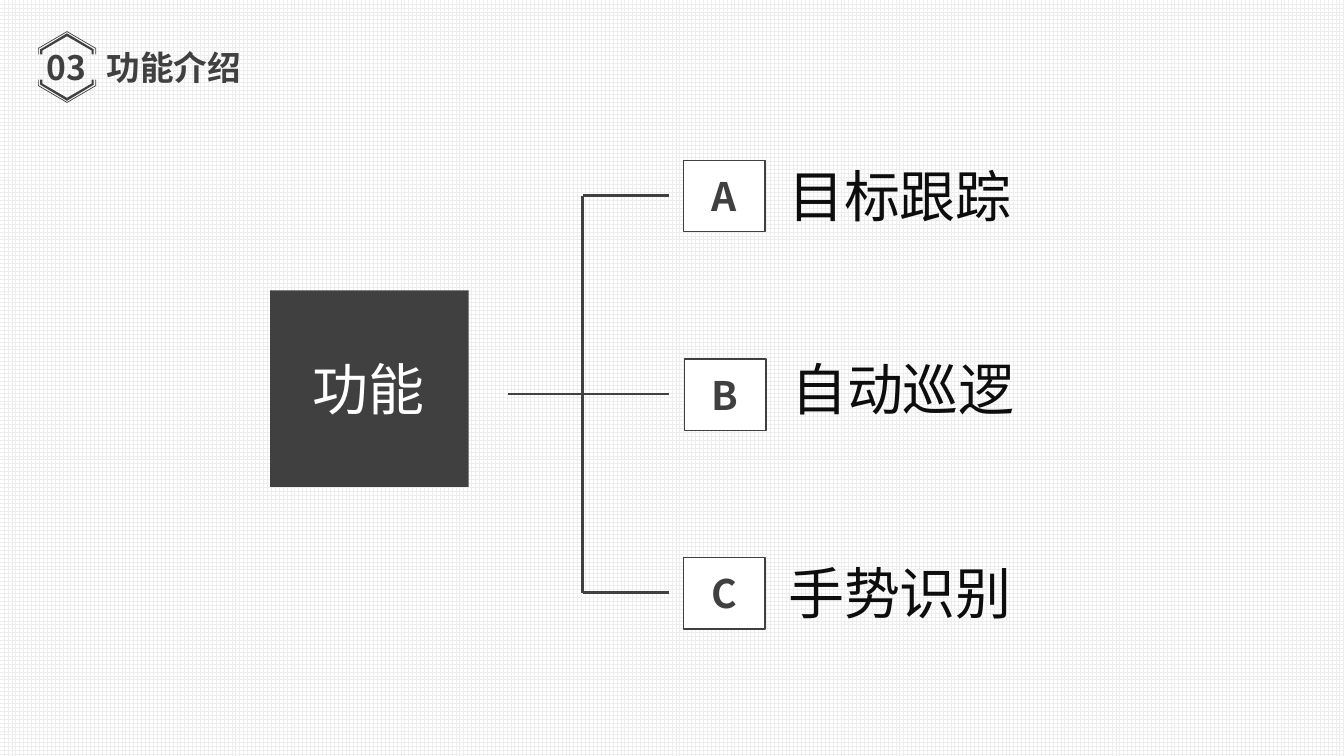
"""Build the feature overview slide: one main block branching to three features."""
from dataclasses import dataclass

from pptx import Presentation
from pptx.dml import color as c
from pptx.enum import dml, shapes, text
from pptx.oxml import ns, xmlchemy as xml
from pptx.util import Pt

FONT = "Noto Sans CJK SC"
HUES = {"dark": "404040", "ink": "0D0D0D", "white": "FFFFFF", "grid": "EDEDED"}
STEP = 141.84
TOP = 139.68
TRUNK = 416.16
TIP = 478.08
HUB = 47.88


@dataclass
class Label:
    words: str
    left: float
    top: float
    width: float
    height: float
    size: float
    hue: str
    bold: bool = False
    center: bool = False
    middle: bool = False
    wrap: bool = False


@dataclass
class Block:
    left: float
    top: float
    width: float
    height: float
    fill: str
    edge: str = ""
    label: str = ""


@dataclass
class Band:
    half: float
    edge: float
    peak: float
    inner: tuple[float, float, float]


@dataclass
class Branch:
    mark: str
    name: str
    box: float
    left: float
    top: float


BRANCHES = [
    Branch("A", "目标跟踪", 488.16, 555.84, 111.6),
    Branch("B", "自动巡逻", 488.88, 558, 249.84),
    Branch("C", "手势识别", 488.16, 555.84, 395.28),
]
LABELS = [
    Label("功能", 216, 249.84, 95.04, 55.44, 40, "white"),
    Label("功能介绍", 68.4, 30.24, 111.6, 36, 24, "dark", bold=True, center=True),
    Label("03", 20.16, 26.64, 54.72, 43.2, 24, "dark", True, True, True, True),
]
BANDS = [
    Band(20.7, 13.5, 25.6, (20.2, 13.2, 25)),
    Band(19.1, 12.6, 24.1, (17.6, 11.8, 22)),
]


def tint(name: str) -> c.RGBColor:
    return c.RGBColor.from_string(HUES[name])


def style(item, form: dict) -> None:
    for key, value in form.items():
        setattr(item, key, value)


def write(frame, words: str, size: float, hue: str, bold: bool, center: bool) -> None:
    para = frame.paragraphs[0]
    para.alignment = text.PP_ALIGN.CENTER if center else text.PP_ALIGN.LEFT
    run = para.add_run()
    run.text = words
    style(run.font, {"name": FONT, "size": Pt(size), "bold": bold})
    run.font.color.rgb = tint(hue)
    east = xml.OxmlElement("a:ea")
    east.set("typeface", FONT)
    run.font._element.append(east)


def add_label(slide, label: Label) -> None:
    box = slide.shapes.add_textbox(
        Pt(label.left), Pt(label.top), Pt(label.width), Pt(label.height))
    fit = text.MSO_AUTO_SIZE
    anchor = text.MSO_ANCHOR
    style(box.text_frame, {
        "word_wrap": label.wrap,
        "auto_size": fit.NONE if label.wrap else fit.SHAPE_TO_FIT_TEXT,
        "vertical_anchor": anchor.MIDDLE if label.middle else anchor.TOP,
    })
    write(box.text_frame, label.words, label.size, label.hue, label.bold, label.center)


def paint(shape, fill: str, edge: str = "") -> None:
    shape.shadow.inherit = False
    shape.fill.solid()
    shape.fill.fore_color.rgb = tint(fill)
    if edge:
        shape.line.color.rgb = tint(edge)
        shape.line.width = Pt(1)
    else:
        shape.line.fill.background()


def add_block(slide, block: Block) -> None:
    shape = slide.shapes.add_shape(
        shapes.MSO_SHAPE.RECTANGLE,
        Pt(block.left), Pt(block.top), Pt(block.width), Pt(block.height))
    paint(shape, block.fill, block.edge)
    if block.label:
        shape.text_frame.vertical_anchor = text.MSO_ANCHOR.MIDDLE
        write(shape.text_frame, block.label, 28, "dark", True, True)


def add_line(slide, left: float, top: float, right: float, base: float) -> None:
    line = slide.shapes.add_connector(
        shapes.MSO_CONNECTOR.STRAIGHT, Pt(left), Pt(top), Pt(right), Pt(base))
    line.line.color.rgb = tint("dark")
    line.line.width = Pt(1.75)
    line._element.find(ns.qn("p:spPr")).append(xml.OxmlElement("a:effectLst"))


def add_band(slide, band: Band, side: int) -> None:
    half, edge, peak = band.inner
    outer = [(-band.half, 9), (-band.half, band.edge), (0, band.peak),
             (band.half, band.edge), (band.half, 9)]
    inner = [(half, 9), (half, edge), (0, peak), (-half, edge), (-half, 9)]
    spots = [(Pt(HUB + x), Pt(HUB + side * y)) for x, y in outer + inner]
    form = slide.shapes.build_freeform(*spots[0])
    form.add_line_segments(spots[1:], close=True)
    paint(form.convert_to_shape(), "dark")


def main() -> None:
    deck = Presentation()
    style(deck, {"slide_width": Pt(960), "slide_height": Pt(540)})
    slide = deck.slides.add_slide(deck.slide_layouts[6])
    back = slide.background.fill
    back.patterned()
    back.pattern = dml.MSO_PATTERN.LARGE_GRID
    back.fore_color.rgb = tint("grid")
    back.back_color.rgb = tint("white")

    add_line(slide, TRUNK, TOP, TRUNK, TOP + 2 * STEP)
    for row, branch in enumerate(BRANCHES):
        mid = TOP + row * STEP
        add_line(slide, 362.88 if row == 1 else TRUNK, mid, TIP, mid)
        add_block(slide, Block(branch.box, 114.48 + row * STEP, 58.32, 51.12,
                               "white", "dark", branch.mark))
        add_label(slide, Label(branch.name, branch.left, branch.top,
                               176.4, 55.44, 40, "ink"))

    add_block(slide, Block(192.96, 207.36, 141.84, 140.4, "dark"))
    for label in LABELS:
        add_label(slide, label)
    for side in (-1, 1):
        for band in BANDS:
            add_band(slide, band, side)
    deck.save("out.pptx")


if __name__ == "__main__":
    main()
